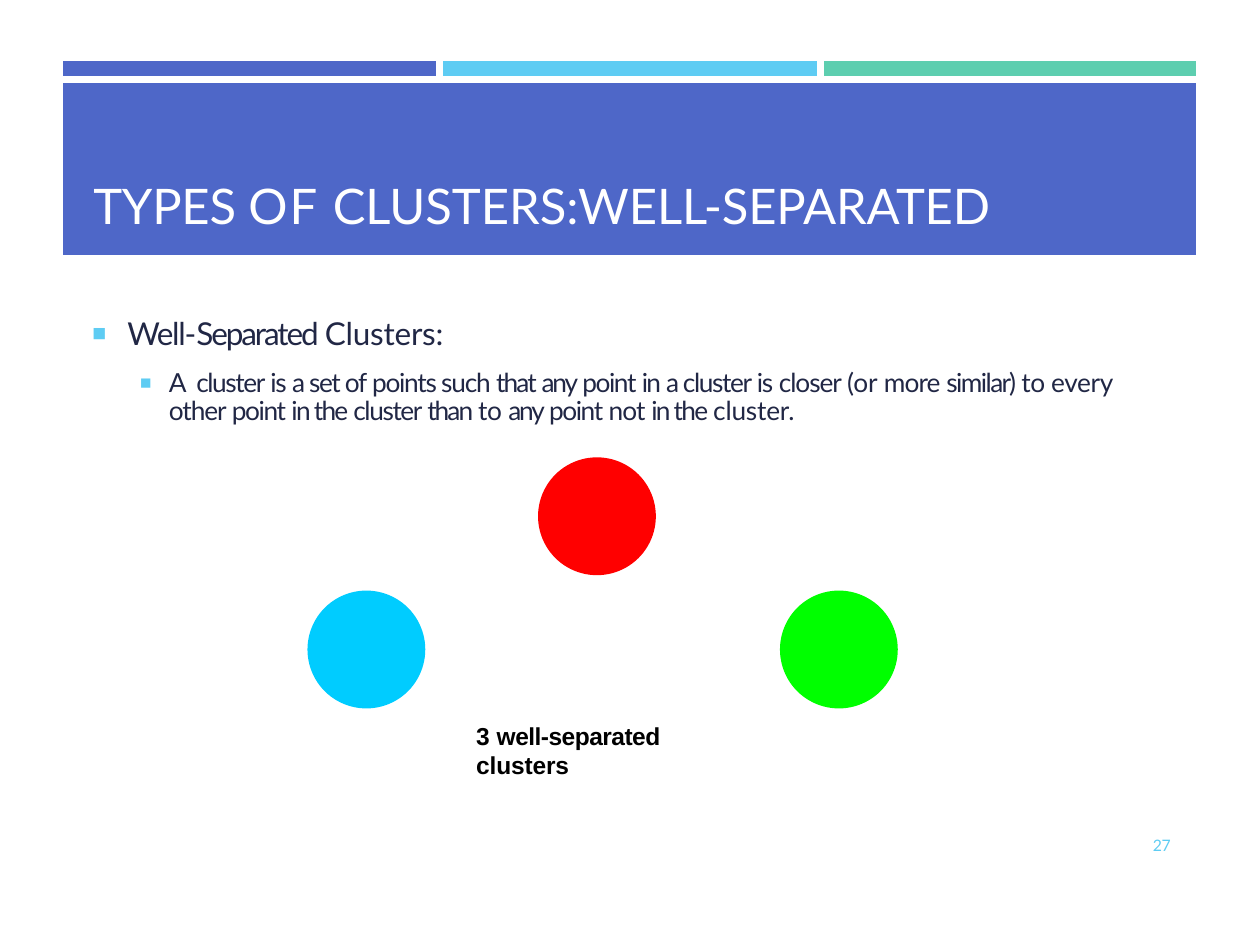
"""Build the slide on well-separated clusters."""
from dataclasses import dataclass

from lxml.etree import SubElement
from pptx import Presentation
from pptx.dml.color import RGBColor
from pptx.enum.shapes import MSO_SHAPE as Shape
from pptx.enum.text import MSO_ANCHOR as Anchor, MSO_AUTO_SIZE as AutoSize, PP_ALIGN as Align
from pptx.oxml.ns import qn
from pptx.util import Inches, Pt

WIDTH, HEIGHT = Inches(10), Inches(7.5)
NAVY, SKY, INDIGO, MINT, WHITE = "212745", "5ECCF3", "4E67C8", "5DCEAF", "FFFFFF"


@dataclass
class Box:
    """A frame in percent of the slide's width and height."""
    left: float
    top: float
    width: float
    height: float

    def frame(self) -> tuple[int, int, int, int]:
        return across(self.left), down(self.top), across(self.width), down(self.height)


@dataclass
class Style:
    """The look of a run of text."""
    size: float
    color: str
    font: str = "Lato"
    bold: bool = False


@dataclass
class Bullet:
    """A list item with its indents in percent of the slide's width."""
    level: int
    margin: float
    hang: float
    scale: int
    style: Style
    runs: list[tuple[str, float]]


@dataclass
class Cluster:
    """A disc placed in percent of the slide."""
    left: float
    top: float
    color: str


TITLE = [("TYPES ", -0.1), ("OF ", 1.2), ("CLUSTERS:WELL-", 0), ("SEPARATED", -0.1)]
BULLETS = [
    Bullet(0, 2.9, 2.8, 94, Style(18, NAVY),
           [("Well-", -0.7), ("Separated ", -1.2), ("Clusters:", -0.1)]),
    Bullet(1, 6.2, 2.3, 93, Style(15, NAVY), [
        ("A ", 1.1), ("cluster ", -0.8), ("is ", -0.7), ("a ", -1.6), ("set of ", -0.8),
        ("points such ", -0.7), ("that ", -1.1), ("any ", -1.2), ("point ", -0.8),
        ("in ", -1), ("a ", -1.6), ("cluster ", -0.8), ("is ", -0.7), ("closer ", -0.6),
        ("(or ", 0), ("more ", -0.5), ("similar) ", -0.9), ("to every ", -0.2),
        ("other ", -0.6), ("point ", -0.8), ("in the ", -1), ("cluster ", -0.8),
        ("than ", -1.1), ("to ", -0.2), ("any ", -1.2), ("point ", -0.8), ("not ", -0.5),
        ("in the ", -1), ("cluster.", -0.1)]),
]
CLUSTERS = [Cluster(24.4, 62.5, "00CCFF"), Cluster(61.9, 62.5, "00FF00"),
            Cluster(42.7, 48.4, "FF0000")]


def across(share: float) -> int:
    """Turn a percentage of the slide's width into a length."""
    return round(WIDTH * share / 100)


def down(share: float) -> int:
    """Turn a percentage of the slide's height into a length."""
    return round(HEIGHT * share / 100)


def paint(fill, color: str) -> None:
    """Give a fill one solid colour."""
    fill.solid()
    fill.fore_color.rgb = RGBColor.from_string(color)


def add_runs(p, runs: list[tuple[str, float]], style: Style) -> None:
    """Add runs of text, each with its letter spacing in points."""
    for text, spacing in runs:
        r = p.add_run()
        r.text = text
        r.font.size, r.font.name, r.font.bold = Pt(style.size), style.font, style.bold
        paint(r.font.fill, style.color)
        r.font._element.set("spc", str(round(spacing * 100)))


def set_margins(target, left: float = 0, top: float = 0) -> None:
    """Set the left and top margins of a cell or text frame and clear the others."""
    target.margin_left, target.margin_top = across(left), down(top)
    target.margin_right = target.margin_bottom = 0


def add_borders(cell, sides: str) -> None:
    """Draw white borders on the named sides of a cell."""
    for side in sides:
        line = SubElement(cell._tc.get_or_add_tcPr(), qn(f"a:ln{side}"), w=str(Pt(4.5)))
        SubElement(SubElement(line, qn("a:solidFill")), qn("a:srgbClr"), val=WHITE)


def add_banner(s) -> None:
    """Add the table with three colour bars above the title."""
    table = s.shapes.add_table(2, 3, *Box(4.9, 6.4, 90.1, 20.67).frame()).table
    table.first_row = table.horz_banding = False
    for column, share in zip(table.columns, (30, 30.2, 29.9)):
        column.width = across(share)
    for row, share in zip(table.rows, (2, 18.67)):
        row.height = down(share)
    for i, (color, sides) in enumerate(((INDIGO, "RB"), (SKY, "LRB"), (MINT, "LB"))):
        bar, below = table.cell(0, i), table.cell(1, i)
        set_margins(bar)
        SubElement(bar.text_frame.paragraphs[0]._p, qn("a:endParaRPr"), sz="100")
        add_borders(bar, sides)
        add_borders(below, "T")
        paint(bar.fill, color)
        paint(below.fill, INDIGO)
    title = table.cell(1, 0)
    title.merge(table.cell(1, 2))
    set_margins(title, 2.5, 10.2)
    title.vertical_anchor = Anchor.TOP
    add_runs(title.text_frame.paragraphs[0], TITLE, Style(28, WHITE))


def add_bullet(p, item: Bullet) -> None:
    """Fill one list paragraph with its square bullet and text."""
    p.level, p.alignment = item.level, Align.LEFT
    ppr = p._p.get_or_add_pPr()
    ppr.set("marL", str(across(item.margin)))
    ppr.set("indent", str(-across(item.hang)))
    SubElement(SubElement(ppr, qn("a:buClr")), qn("a:srgbClr"), val=SKY)
    SubElement(ppr, qn("a:buSzPct"), val=str(item.scale * 1000))
    SubElement(ppr, qn("a:buChar"), char="◾")
    tabs = SubElement(ppr, qn("a:tabLst"))
    SubElement(tabs, qn("a:tab"), pos=str(across(item.margin)), algn="l")
    p.space_before = Pt(10.4 if item.level else 0)
    if item.level:
        p.line_spacing = Pt(16.1)
    add_runs(p, item.runs, item.style)


def fill_body(body) -> None:
    """Place the body placeholder and write the list in it."""
    body.left, body.top, body.width, body.height = Box(7.2, 31.2, 85, 14).frame()
    tf = body.text_frame
    tf.word_wrap, tf.auto_size, tf.vertical_anchor = True, AutoSize.NONE, Anchor.TOP
    set_margins(tf, top=2)
    for i, item in enumerate(BULLETS):
        add_bullet(tf.add_paragraph() if i else tf.paragraphs[0], item)


def add_cluster(s, cluster: Cluster) -> None:
    """Draw one cluster as a plain disc."""
    box = Box(cluster.left, cluster.top, 9.35, 12.47)
    sp = s.shapes.add_shape(Shape.OVAL, *box.frame())
    sp.shadow.inherit = False
    sp.line.fill.background()
    paint(sp.fill, cluster.color)


def add_label(s, box: Box, left: float, runs: list[tuple[str, float]], style: Style) -> None:
    """Add a small text box with one paragraph."""
    tf = s.shapes.add_textbox(*box.frame()).text_frame
    tf.word_wrap, tf.auto_size = True, AutoSize.SHAPE_TO_FIT_TEXT
    set_margins(tf, left, 0.13)
    add_runs(tf.paragraphs[0], runs, style)


def main() -> None:
    """Build and save the slide."""
    prs = Presentation()
    prs.slide_width, prs.slide_height = WIDTH, HEIGHT
    s = prs.slides.add_slide(prs.slide_layouts[1])
    heading = s.shapes.title._element
    heading.getparent().remove(heading)
    add_banner(s)
    fill_body(s.placeholders[1])
    for cluster in CLUSTERS:
        add_cluster(s, cluster)
    add_label(s, Box(37.7, 76.13, 22, 3.47), 0.1,
              [("3 ", 0), ("well-separated ", -0.3), ("clusters", -0.1)],
              Style(14, "000000", "Arial", True))
    add_label(s, Box(91.1, 88.3, 2.2, 2.27), 0.4, [("27", -0.2)], Style(9, SKY))
    prs.save("out.pptx")


if __name__ == "__main__":
    main()
